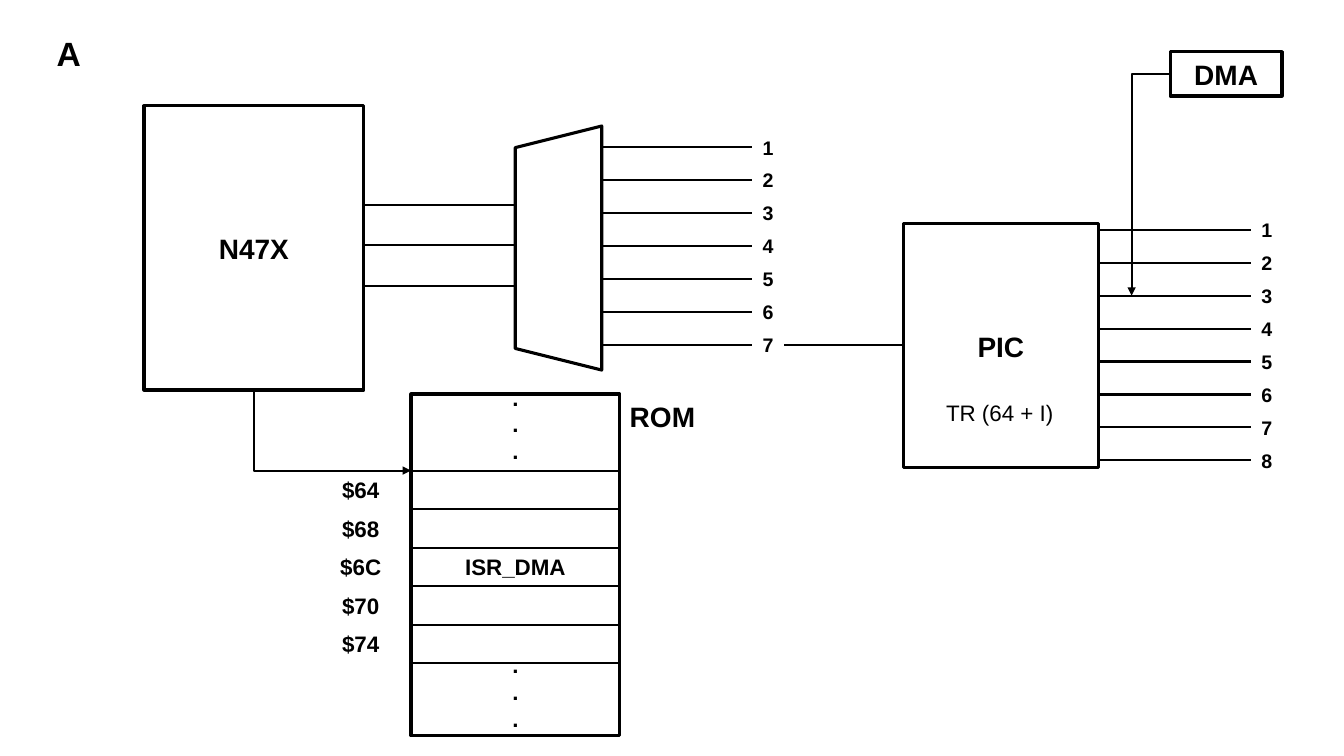
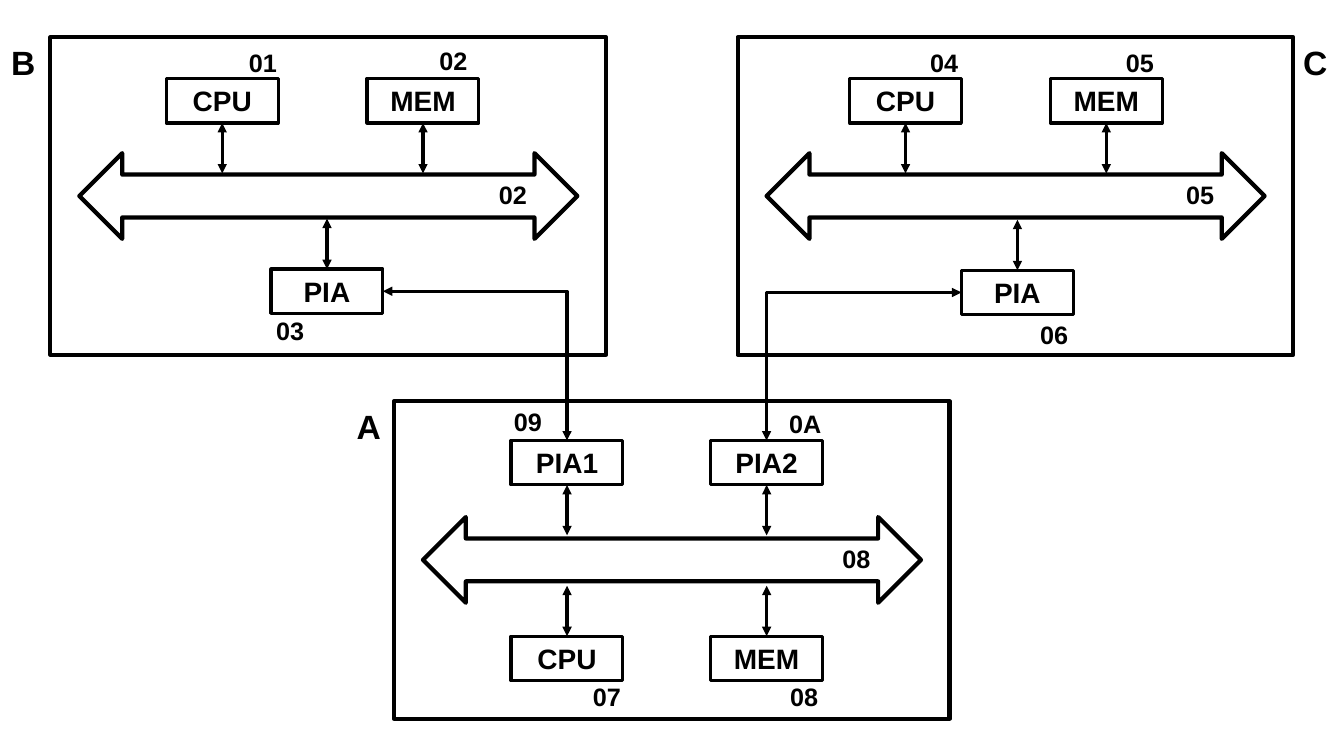
from dataclasses import dataclass

from lxml.etree import SubElement
from pptx import Presentation
from pptx.dml.color import RGBColor
from pptx.enum.shapes import MSO_CONNECTOR, MSO_SHAPE
from pptx.enum.text import MSO_ANCHOR, MSO_AUTO_SIZE, PP_ALIGN
from pptx.oxml.ns import qn
from pptx.shapes.autoshape import Shape
from pptx.shapes.connector import Connector
from pptx.slide import Slide
from pptx.util import Cm, Pt

COLORS = {"ink": "000000", "paper": "FFFFFF"}
FONT = "Arial"
TOP, LEFT, BOTTOM, RIGHT = range(4)
Point = tuple[float, float]


@dataclass(frozen=True)
class Box:
    left: float
    top: float
    width: float
    height: float

    @property
    def right(self) -> float:
        return self.left + self.width

    @property
    def bottom(self) -> float:
        return self.top + self.height

    @property
    def middle(self) -> float:
        return self.left + self.width / 2

    def lengths(self) -> tuple[Cm, Cm, Cm, Cm]:
        return Cm(self.left), Cm(self.top), Cm(self.width), Cm(self.height)


@dataclass(frozen=True)
class Pins:
    left: float
    top: float
    count: int


@dataclass(frozen=True)
class Block:
    name: str
    left: float
    top: float
    code: str
    code_left: float
    code_top: float
    above_bus: bool = True


@dataclass(frozen=True)
class Board:
    letter: str
    left: float
    top: float
    letter_offset: float
    bus_code: str
    blocks: tuple[Block, ...]


PROCESSOR = Box(3.63, 2.67, 5.54, 7.16)
ENCODER = Box(11, 5.16, 6.15, 2.18)
ROM = Box(10.36, 9.93, 5.26, 8.61)
CONTROLLER = Box(22.76, 5.64, 4.93, 6.15)
DMA = Box(29.49, 1.3, 2.82, 1.12)
ENCODER_PINS = Pins(15.14, 3.71, 7)
CONTROLLER_PINS = Pins(27.71, 5.79, 8)
PIN_LENGTH, PIN_STEP = 3.82, 0.83
BUS_LINE_TOP, BUS_LINE_STEP, ENCODER_LEFT = 5.16, 1.02, 12.98
ROW_TOP, ROW_HEIGHT = 11.86, 0.97
ADDRESSES = ("$64", "$68", "$6C", "$70", "$74")

BLOCK_WIDTH, BLOCK_HEIGHT, ARROW_LENGTH = 2.82, 1.12, 1.27
BOARDS = (
    Board("A", 9.93, 10.11, -1.19, "08", (
        Block("PIA1", 12.88, 11.1, "09", 12.34, 10.11),
        Block("PIA2", 17.91, 11.1, "0A", 19.33, 10.16),
        Block("CPU", 12.88, 16.03, "07", 14.33, 17.04, False),
        Block("MEM", 17.91, 16.03, "08", 19.3, 17.04, False),
    )),
    Board("B", 1.27, 0.94, -1.24, "02", (
        Block("CPU", 4.19, 1.98, "01", 5.66, 1.07),
        Block("MEM", 9.25, 1.98, "02", 10.46, 1.02),
        Block("PIA", 6.83, 6.78, "03", 6.35, 7.82, False),
    )),
    Board("C", 18.59, 0.94, 14, "05", (
        Block("CPU", 21.41, 1.98, "04", 22.83, 1.07),
        Block("MEM", 26.47, 1.98, "05", 27.76, 1.07),
        Block("PIA", 24.23, 6.81, "06", 25.6, 7.92, False),
    )),
)


def write_text(shape: Shape, text: str, size: float, bold: bool = True,
               align: PP_ALIGN = PP_ALIGN.CENTER,
               anchor: MSO_ANCHOR = MSO_ANCHOR.MIDDLE, wrap: bool = True) -> None:
    frame = shape.text_frame
    frame.text = text
    frame.word_wrap = wrap
    frame.auto_size = MSO_AUTO_SIZE.NONE
    frame.vertical_anchor = anchor
    for paragraph in frame.paragraphs:
        paragraph.alignment = align
        for run in paragraph.runs:
            run.font.name = FONT
            run.font.size = Pt(size)
            run.font.bold = bold
            run.font.color.rgb = RGBColor.from_string(COLORS["ink"])


def add_label(slide: Slide, box: Box, text: str, size: float, bold: bool = True,
              align: PP_ALIGN = PP_ALIGN.CENTER, wrap: bool = False) -> None:
    write_text(slide.shapes.add_textbox(*box.lengths()), text, size, bold, align, wrap=wrap)


def add_outline(slide: Slide, box: Box, text: str = "", weight: float = 2.25,
                kind: MSO_SHAPE = MSO_SHAPE.RECTANGLE) -> Shape:
    shape = slide.shapes.add_shape(kind, *box.lengths())
    shape.shadow.inherit = False
    shape.fill.background()
    shape.line.color.rgb = RGBColor.from_string(COLORS["ink"])
    shape.line.width = Pt(weight)
    if text:
        write_text(shape, text, 20)
    return shape


def add_line(slide: Slide, begin: Point, end: Point, weight: float = 1.5,
             arrows: tuple[str, ...] = (), elbow: bool = False) -> Connector:
    kind = MSO_CONNECTOR.ELBOW if elbow else MSO_CONNECTOR.STRAIGHT
    connector = slide.shapes.add_connector(kind, *(Cm(value) for value in begin + end))
    connector.line.color.rgb = RGBColor.from_string(COLORS["ink"])
    connector.line.width = Pt(weight)
    properties = connector._element.spPr
    for arrow in arrows:
        SubElement(properties.find(qn("a:ln")), qn(f"a:{arrow}")).set("type", "triangle")
    SubElement(properties, qn("a:effectLst"))
    if elbow:
        properties.find(qn("a:prstGeom")).set("prst", "bentConnector2")
    return connector


def add_pins(slide: Slide, pins: Pins) -> None:
    end = pins.left + PIN_LENGTH
    for index in range(pins.count):
        y = pins.top + index * PIN_STEP
        add_line(slide, (pins.left, y), (end, y))
        add_label(slide, Box(end, y - 0.43, 0.79, 0.86), str(index + 1), 14)


def add_rom(slide: Slide) -> None:
    add_outline(slide, ROM)
    add_label(slide, Box(ROM.right, ROM.top, 2.18, 1.12), "ROM", 20, align=PP_ALIGN.LEFT)
    for index in range(len(ADDRESSES) + 1):
        y = ROW_TOP + index * ROW_HEIGHT
        add_line(slide, (ROM.left, y), (ROM.right, y))
    for index, address in enumerate(ADDRESSES):
        y = ROW_TOP + index * ROW_HEIGHT
        add_label(slide, Box(8.29, y, 1.6, ROW_HEIGHT), address, 16)
        if address == "$6C":
            add_label(slide, Box(ROM.left, y, ROM.width, ROW_HEIGHT), "ISR_DMA", 16)
    for top in (9.53, 16.28):
        add_label(slide, Box(ROM.middle - 0.35, top, 0.7, 2.31), ".\n.\n.", 16)


def build_interrupt_slide(presentation: Presentation) -> None:
    slide = presentation.slides.add_slide(presentation.slide_layouts[5])
    title = slide.shapes.title
    title.left, title.top, title.width, title.height = Box(1.17, 0.69, 1.93, 1.27).lengths()
    write_text(title, "A", 24, align=PP_ALIGN.LEFT, anchor=MSO_ANCHOR.TOP)

    processor = add_outline(slide, PROCESSOR, "N47X")
    encoder = add_outline(slide, ENCODER, kind=MSO_SHAPE.TRAPEZOID)
    encoder.rotation = 270
    for index in range(3):
        y = BUS_LINE_TOP + index * BUS_LINE_STEP
        add_line(slide, (PROCESSOR.right, y), (ENCODER_LEFT, y))
    add_pins(slide, ENCODER_PINS)
    add_rom(slide)
    vector = add_line(slide, (ROM.left, ROW_TOP), (PROCESSOR.middle, PROCESSOR.bottom),
                      arrows=("headEnd",), elbow=True)
    vector.end_connect(processor, BOTTOM)

    add_outline(slide, CONTROLLER, "PIC")
    add_label(slide, Box(23.57, 9.93, 3.25, 0.94), "TR (64 + I)", 16, bold=False)
    last_pin = ENCODER_PINS.top + (ENCODER_PINS.count - 1) * PIN_STEP
    add_line(slide, (19.76, last_pin), (CONTROLLER.left, last_pin))
    add_pins(slide, CONTROLLER_PINS)
    dma = add_outline(slide, DMA, "DMA")
    request = add_line(slide, (DMA.left, DMA.top + DMA.height / 2),
                       (28.52, CONTROLLER_PINS.top + 2 * PIN_STEP),
                       arrows=("tailEnd",), elbow=True)
    request.begin_connect(dma, LEFT)


def add_code(slide: Slide, left: float, top: float, code: str) -> None:
    add_label(slide, Box(left, top, 1.93, 1.02), code, 18, wrap=True)


def add_block(slide: Slide, block: Block) -> Shape:
    box = Box(block.left, block.top, BLOCK_WIDTH, BLOCK_HEIGHT)
    shape = add_outline(slide, box, block.name)
    start = box.bottom if block.above_bus else box.top - ARROW_LENGTH
    add_line(slide, (box.middle, start), (box.middle, start + ARROW_LENGTH), 2.25,
             ("headEnd", "tailEnd"))
    add_code(slide, block.code_left, block.code_top, block.code)
    return shape


def add_board(slide: Slide, board: Board) -> dict[str, Shape]:
    add_outline(slide, Box(board.left, board.top, 14, 8), weight=3)
    add_label(slide, Box(board.left + board.letter_offset, board.top, 1.27, 1.27),
              board.letter, 24, align=PP_ALIGN.LEFT)
    bus = Box(board.left + 0.73, board.top + 2.92, 12.55, 2.16)
    add_outline(slide, bus, weight=3, kind=MSO_SHAPE.LEFT_RIGHT_ARROW)
    add_code(slide, bus.left + 9.96, bus.top + 0.54, board.bus_code)
    return {block.name: add_block(slide, block) for block in board.blocks}


def build_boards_slide(presentation: Presentation) -> None:
    slide = presentation.slides.add_slide(presentation.slide_layouts[6])
    shapes = {board.letter: add_board(slide, board) for board in BOARDS}
    for letter, side, target in (("B", RIGHT, "PIA1"), ("C", LEFT, "PIA2")):
        link = add_line(slide, (0, 0), (1, 1), 2.25, ("headEnd", "tailEnd"), elbow=True)
        link.begin_connect(shapes[letter]["PIA"], side)
        link.end_connect(shapes["A"][target], TOP)


def main() -> None:
    presentation = Presentation()
    presentation.slide_width = Cm(33.87)
    presentation.slide_height = Cm(19.05)
    background = presentation.slide_master.background.fill
    background.solid()
    background.fore_color.rgb = RGBColor.from_string(COLORS["paper"])
    build_interrupt_slide(presentation)
    build_boards_slide(presentation)
    presentation.save("out.pptx")


if __name__ == "__main__":
    main()
